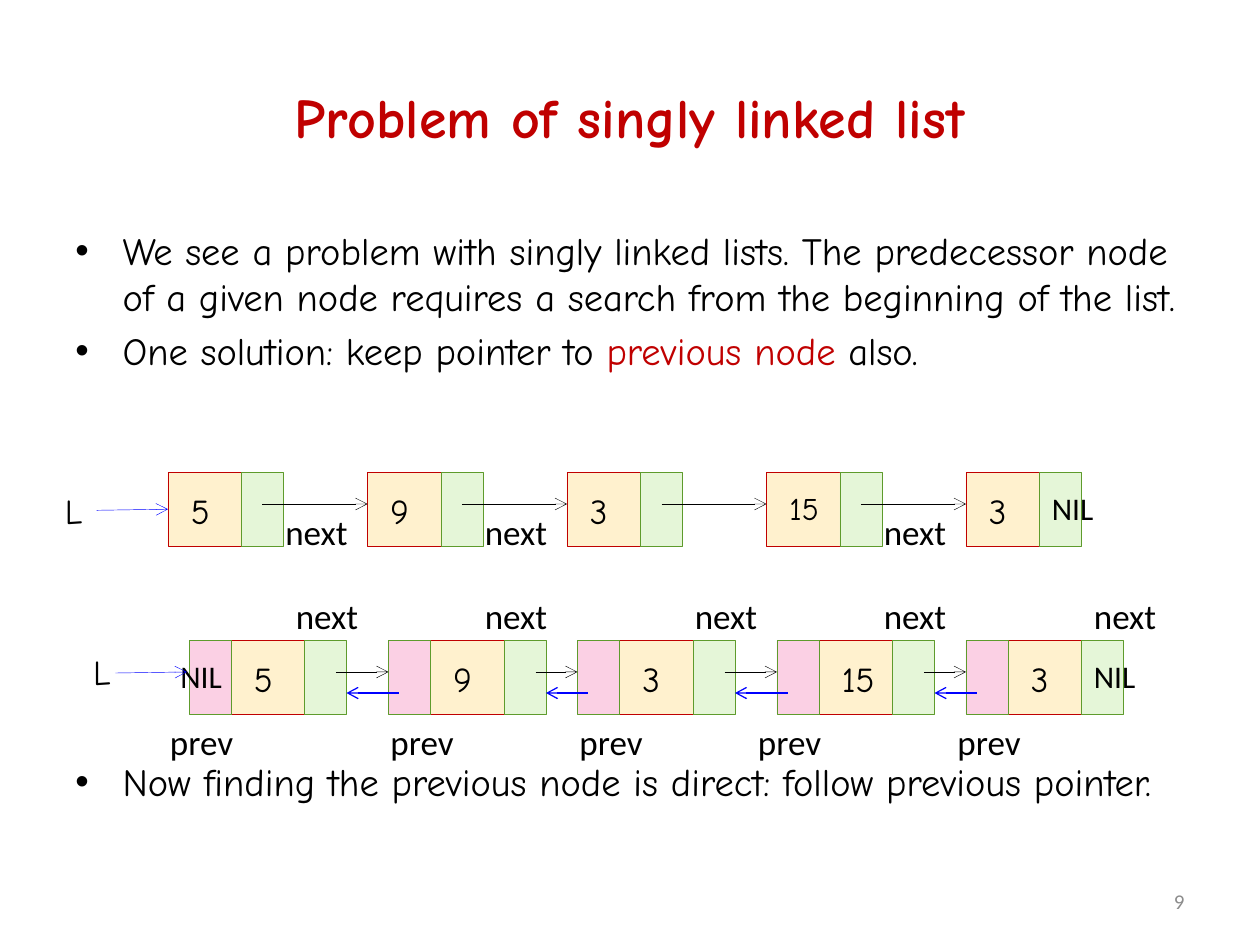
"""Build a slide comparing singly and doubly linked lists."""
import pptx
import pptx.dml.color
import pptx.enum.shapes
import pptx.enum.text
import pptx.oxml.ns
import pptx.util
from lxml import etree

SCALE = 914400 // 120
HAND, PLAIN = "Comic Neue", "Calibri"
BLACK, RED, BLUE, GREEN, GREY = "000000", "C00000", "0000FF", "5E9B2C", "8C8C8C"
DATA_FILL, NEXT_FILL, PREV_FILL = "FFF1CE", "E5F6D8", "FBD0E4"
ALIGN = pptx.enum.text.PP_ALIGN
ANCHOR = pptx.enum.text.MSO_ANCHOR

TITLE = "Problem of singly linked list"
BULLETS = [
    (4.4, [("We see a problem with singly linked lists. The predecessor node of a given "
            "node requires a search from the beginning of the list.", BLACK)]),
    (4.4, [("One solution: keep pointer to ", BLACK), ("previous node ", RED), ("also.", BLACK)]),
    (220, [("Now finding the previous node is direct: follow previous pointer.", BLACK)]),
]
PAGE_NUMBER = "9"
VALUES = ["5", "9", "3", "15", "3"]

DATA_WIDTH, LINK_WIDTH, NODE_HEIGHT = 70, 40, 70
SINGLE_TOP, DOUBLE_TOP = 450, 610
SINGLE_LEFTS = [160 + 190 * index for index in range(5)]
DOUBLE_LEFTS = [180, 370, 550, 740, 920]
SINGLE_SIZES = [20, 20, 20, 18, 20]
SINGLE_LABELED = [0, 1, 3]
NEXT_LEFTS = [270, 450, 650, 830, 1030]
PREV_LEFTS = [150, 360, 540, 710, 900]
LABEL_WIDTHS = {"L": 43, "NIL": 65, "next": 84, "prev": 85, "15": 60}


def px(length):
    return pptx.util.Emu(length * SCALE)


def color(value):
    return pptx.dml.color.RGBColor.from_string(value)


def set_font(font, name, size, value, bold=False):
    font.name, font.size, font.bold = name, pptx.util.Pt(size), bold
    font.color.rgb = color(value)


def add_box(parent, left, top, width, height, wrap=True, anchor=ANCHOR.TOP):
    box = parent.shapes.add_textbox(px(left), px(top), px(width), px(height))
    box.text_frame.word_wrap = wrap
    box.text_frame.vertical_anchor = anchor
    return box.text_frame


def add_heading(page, text, place, align, font):
    para = add_box(page, *place, anchor=ANCHOR.MIDDLE).paragraphs[0]
    para.text, para.alignment = text, align
    set_font(para.font, *font)


def add_label(parent, text, left, top, name=PLAIN, size=20):
    height = 53 if size == 20 else 48
    frame = add_box(parent, left, top, LABEL_WIDTHS.get(text, 44), height, wrap=False)
    frame.auto_size = pptx.enum.text.MSO_AUTO_SIZE.SHAPE_TO_FIT_TEXT
    para = frame.paragraphs[0]
    para.text = text
    set_font(para.font, name, size, BLACK)


def add_cell(parent, left, top, width, fill, line):
    cell = parent.shapes.add_shape(pptx.enum.shapes.MSO_SHAPE.RECTANGLE,
                                   px(left), px(top), px(width), px(NODE_HEIGHT))
    cell.shadow.inherit = False
    cell.fill.solid()
    cell.fill.fore_color.rgb = color(fill)
    cell.line.color.rgb = color(line)
    cell.line.width = pptx.util.Pt(0.25)


def add_node(parent, value, left, top, size=20):
    add_cell(parent, left, top, DATA_WIDTH, DATA_FILL, RED)
    add_cell(parent, left + DATA_WIDTH, top, LINK_WIDTH, NEXT_FILL, GREEN)
    add_label(parent, value, left + 10, top + 10, HAND, size)


def add_arrow(page, start, end, value=BLACK, width=0.25):
    arrow = page.shapes.add_connector(pptx.enum.shapes.MSO_CONNECTOR.STRAIGHT,
                                      *map(px, start + end))
    arrow.line.color.rgb = color(value)
    arrow.line.width = pptx.util.Pt(width)
    qn = pptx.oxml.ns.qn
    etree.SubElement(arrow.line._get_or_add_ln(), qn("a:tailEnd"), type="arrow")
    etree.SubElement(arrow._element.spPr, qn("a:effectLst"))


def add_bullets(page):
    frame = add_box(page, 60, 210, 1090, 670)
    for index, (space, spans) in enumerate(BULLETS):
        para = frame.add_paragraph() if index else frame.paragraphs[0]
        para.space_before = pptx.util.Pt(space)
        properties = para._p.get_or_add_pPr()
        properties.set("marL", str(px(45)))
        properties.set("indent", str(px(-45)))
        etree.SubElement(properties, pptx.oxml.ns.qn("a:buFont"), typeface="Arial")
        etree.SubElement(properties, pptx.oxml.ns.qn("a:buChar"), char="•")
        for text, value in spans:
            span = para.add_run()
            span.text = text
            set_font(span.font, HAND, 22, value)


def add_single_list(page):
    for value, left, size in zip(VALUES, SINGLE_LEFTS, SINGLE_SIZES):
        add_node(page, value, left, SINGLE_TOP, size)
    for left, following in zip(SINGLE_LEFTS, SINGLE_LEFTS[1:]):
        add_arrow(page, (left + 90, SINGLE_TOP + 30), (following, SINGLE_TOP + 30))
    for index in SINGLE_LABELED:
        add_label(page, "next", SINGLE_LEFTS[index] + 100, SINGLE_TOP + 30)
    add_label(page, "NIL", SINGLE_LEFTS[-1] + DATA_WIDTH, SINGLE_TOP + 10, size=18)
    add_label(page, "L", 50, 460, HAND)
    add_arrow(page, (92, 486), (160, 485), BLUE)


def add_double_list(page):
    for value, left in zip(VALUES, DOUBLE_LEFTS):
        node = page.shapes.add_group_shape()
        add_node(node, value, left + LINK_WIDTH, DOUBLE_TOP)
        add_cell(node, left, DOUBLE_TOP, LINK_WIDTH, PREV_FILL, GREEN)
    for left, following in zip(DOUBLE_LEFTS, DOUBLE_LEFTS[1:]):
        add_arrow(page, (left + 140, DOUBLE_TOP + 30), (following, DOUBLE_TOP + 30))
        add_arrow(page, (following + 10, DOUBLE_TOP + 50),
                  (left + 150, DOUBLE_TOP + 50), BLUE, 0.75)
    for next_left, prev_left in zip(NEXT_LEFTS, PREV_LEFTS):
        add_label(page, "next", next_left, DOUBLE_TOP - 50)
        add_label(page, "prev", prev_left, DOUBLE_TOP + 70)
    for left in (160, 1030):
        add_label(page, "NIL", left, DOUBLE_TOP + 10, size=18)
    add_label(page, "L", 77, 614, HAND)
    add_arrow(page, (110, 641), (178, 640), BLUE)


def main():
    deck = pptx.Presentation()
    deck.slide_width, deck.slide_height = px(1200), px(900)
    page = deck.slides.add_slide(deck.slide_layouts[6])
    add_heading(page, TITLE, (60, 36, 1080, 150), ALIGN.CENTER, (HAND, 32, RED, True))
    add_bullets(page)
    add_heading(page, PAGE_NUMBER, (860, 834, 280, 48), ALIGN.RIGHT, (PLAIN, 12, GREY))
    add_single_list(page)
    add_double_list(page)
    deck.save("out.pptx")


if __name__ == "__main__":
    main()
